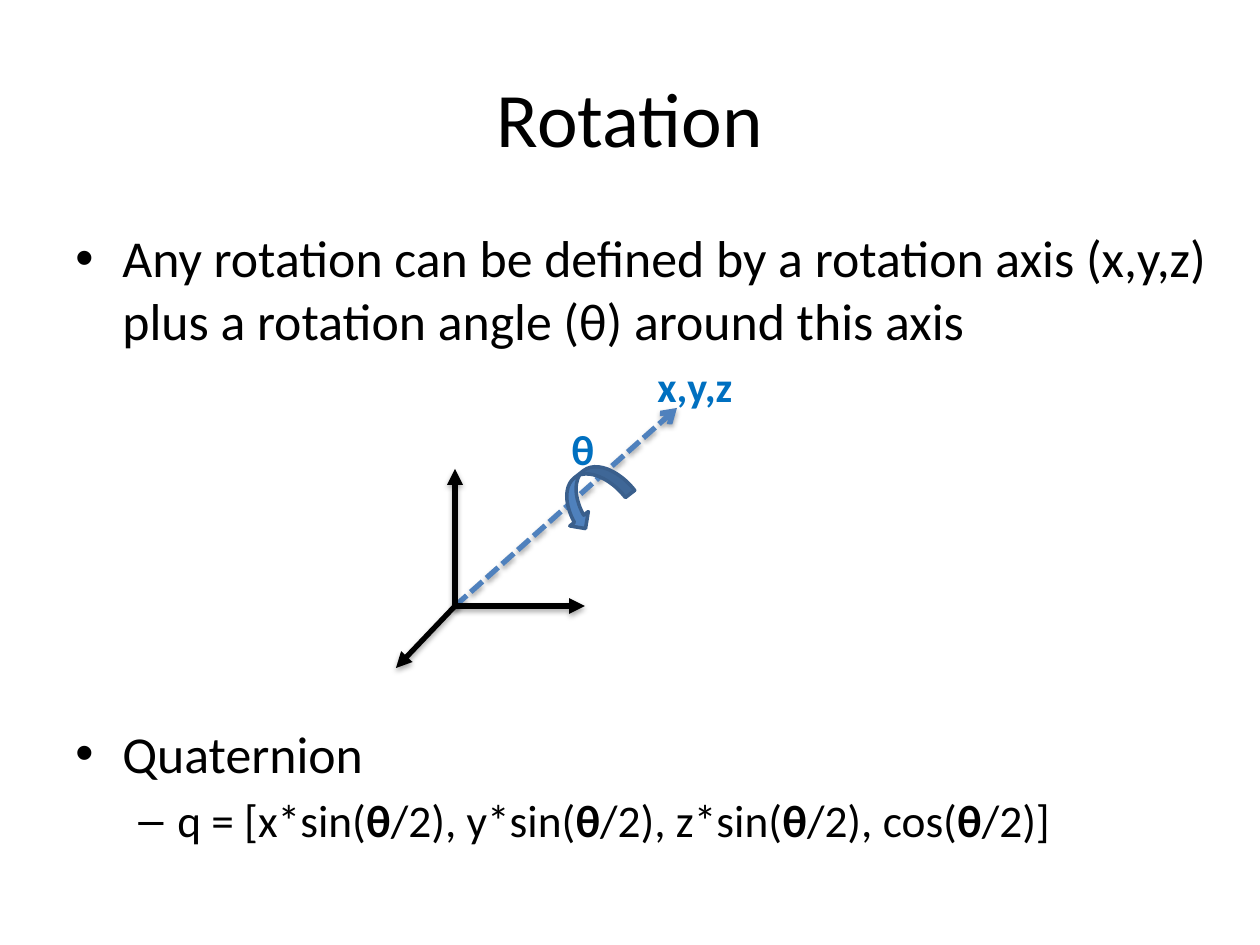
from pptx import Presentation
from pptx import util as u
from pptx.dml.color import RGBColor
from pptx.enum import dml, shapes, text
from pptx.oxml import parse_xml
from pptx.oxml.ns import nsdecls
from lxml import etree

BLACK = RGBColor(0x00, 0x00, 0x00)
BLUE = RGBColor(0x4F, 0x81, 0xBD)
DARK_BLUE = RGBColor(0x3A, 0x5F, 0x8C)
LABEL_BLUE = RGBColor(0x00, 0x70, 0xC0)
A_NS = "{http://schemas.openxmlformats.org/drawingml/2006/main}"


def px(length):
    return u.Emu(round(length * 914400 / 126))


class SlideBuilder:
    font = "Calibri"

    def __init__(self, page):
        self.page = page

    def text_box(self, left, top, width, height, wrap=True):
        box = self.page.shapes.add_textbox(px(left), px(top), px(width), px(height))
        box.text_frame.word_wrap = wrap
        return box.text_frame

    def style(self, span, size, color=BLACK, bold=False):
        span.font.name = self.font
        span.font.size = u.Pt(size)
        span.font.color.rgb = color
        span.font.bold = bold

    def title(self, words, left, top, width, height):
        frame = self.text_box(left, top, width, height)
        frame.vertical_anchor = text.MSO_ANCHOR.MIDDLE
        frame.text = words
        para = frame.paragraphs[0]
        para.alignment = text.PP_ALIGN.CENTER
        self.style(para.runs[0], 44)

    def label(self, words, left, top, width, height):
        frame = self.text_box(left, top, width, height, wrap=False)
        frame.text = words
        self.style(frame.paragraphs[0].runs[0], 24, LABEL_BLUE, True)

    def bullet(self, para, spans, mark, size, margin, hanging, before=0, level=0):
        """Fill a paragraph with spans, a list of (words, bold) pairs."""
        para.level = level
        para.space_before = u.Pt(before)
        properties = para._p.get_or_add_pPr()
        properties.set("marL", str(px(margin)))
        properties.set("indent", str(-px(hanging)))
        etree.SubElement(properties, A_NS + "buFont", typeface="Arial")
        etree.SubElement(properties, A_NS + "buChar", char=mark)
        for words, bold in spans:
            span = para.add_run()
            span.text = words
            self.style(span, size, bold=bold)

    def arrow(self, start, end, color=BLACK, head="triangle", dash=None):
        line = self.page.shapes.add_connector(
            shapes.MSO_CONNECTOR.STRAIGHT, *map(px, start + end))
        line.line.color.rgb = color
        line.line.width = u.Pt(3)
        if dash:
            line.line.dash_style = dash
        etree.SubElement(line.line._get_or_add_ln(), A_NS + "tailEnd", type=head)
        line._element.spPr.append(parse_xml(
            f'<a:effectLst {nsdecls("a")}>'
            '<a:outerShdw blurRad="40000" dist="23000" dir="5400000" rotWithShape="0">'
            '<a:srgbClr val="000000"><a:alpha val="35000"/></a:srgbClr>'
            '</a:outerShdw></a:effectLst>'))

    def curved_arrow(self, left, top, width, height, rotation):
        shape = self.page.shapes.add_shape(
            shapes.MSO_SHAPE.CURVED_UP_ARROW, px(left), px(top), px(width), px(height))
        shape.rotation = rotation
        shape.shadow.inherit = False
        shape.fill.solid()
        shape.fill.fore_color.rgb = BLUE
        shape.line.color.rgb = DARK_BLUE
        shape.line.width = u.Pt(2)


def main():
    deck = Presentation()
    deck.slide_width, deck.slide_height = px(1260), px(945)
    slide = SlideBuilder(deck.slides.add_slide(deck.slide_layouts[6]))

    slide.title("Rotation", 63, 38, 1134, 158)

    # Bullets, with room for the diagram between the first two
    body = slide.text_box(63, 220, 1172, 624)
    definition = ("Any rotation can be defined by a rotation axis (x,y,z) "
                  "plus a rotation angle (θ) around this axis")
    slide.bullet(body.paragraphs[0], [(definition, False)], "•", 29.6, 47, 47)
    slide.bullet(body.add_paragraph(), [("Quaternion", False)], "•", 29.6, 47, 47,
                 before=212)
    formula = "q = [x*sin(θ/2), y*sin(θ/2), z*sin(θ/2), cos(θ/2)]"
    first, *others = formula.split("θ")
    spans = [(first, False)]
    for part in others:
        spans += [("θ", True), (part, False)]
    slide.bullet(body.add_paragraph(), spans, "–", 25.9, 102, 39, before=5, level=1)

    # Rotation axis, then the three coordinate axes
    origin = (455, 606)
    slide.arrow(origin, (677, 408), BLUE, "arrow", dml.MSO_LINE.SQUARE_DOT)
    for tip in ((455, 469), (585, 606), (396, 668)):
        slide.arrow(origin, tip)

    # Rotation angle and labels
    slide.curved_arrow(554, 471, 74, 47, 142.2)
    slide.label("x,y,z", 645, 354, 101, 63)
    slide.label("θ", 559, 417, 48, 63)

    deck.save("out.pptx")


if __name__ == "__main__":
    main()
